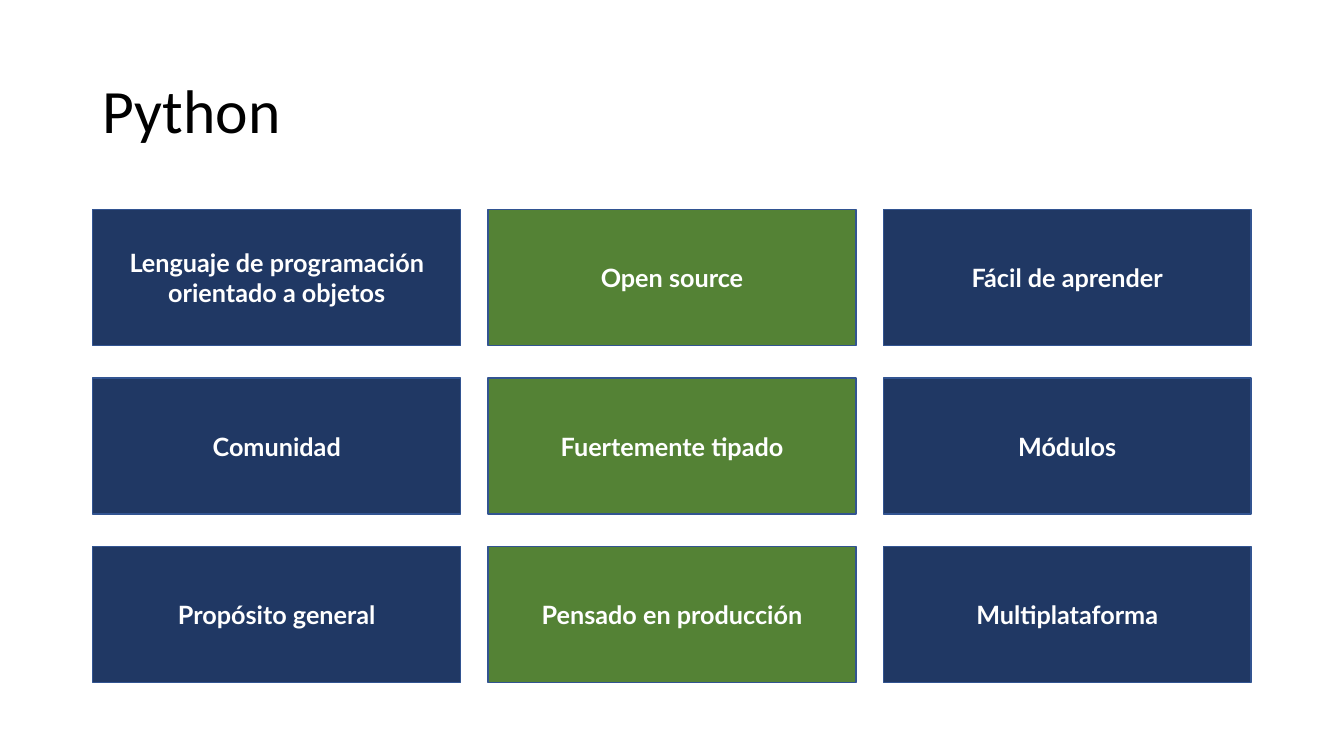
from pptx import Presentation
from pptx.dml.color import RGBColor
from pptx.enum.shapes import MSO_SHAPE as Shape
from pptx.enum.text import MSO_ANCHOR as Anchor, PP_ALIGN as Align
from pptx.util import Emu, Pt

PX = 9144
FEATURES = [
    ["Lenguaje de programación orientado a objetos", "Open source", "Fácil de aprender"],
    ["Comunidad", "Fuertemente tipado", "Módulos"],
    ["Propósito general", "Pensado en producción", "Multiplataforma"],
]


def color(value):
    """Turn a hex string into a colour."""
    return RGBColor.from_string(value)


def px(*lengths):
    """Turn pixel lengths into EMU."""
    return [Emu(n * PX) for n in lengths]


class Deck:
    """Hold the style and the current slide."""

    NAVY, GREEN, BORDER = "203864", "548235", "325491"
    WHITE, BLACK = "FFFFFF", "000000"

    def __init__(self, width, height):
        """Start a presentation with one blank slide."""
        self.prs = Presentation()
        self.prs.slide_width, self.prs.slide_height = px(width, height)
        self.s = self.prs.slides.add_slide(self.prs.slide_layouts[6])

    def label(self, sp, text, font, size, fill, bold=False, align=Align.LEFT):
        """Put one vertically centred paragraph into a shape."""
        tf = sp.text_frame
        tf.word_wrap = True
        tf.vertical_anchor = Anchor.MIDDLE
        p = tf.paragraphs[0]
        p.alignment = align
        r = p.add_run()
        r.text = text
        r.font.name = font
        r.font.size = Pt(size)
        r.font.bold = bold
        r.font.color.rgb = color(fill)
        return p

    def title(self, text, x, y, w, h):
        """Add the slide heading."""
        sp = self.s.shapes.add_textbox(*px(x, y, w, h))
        p = self.label(sp, text, "Calibri", 44, self.BLACK)
        p.line_spacing = 0.9

    def card(self, text, x, y, w, h, fill):
        """Add a filled rectangle with a bold centred label."""
        sp = self.s.shapes.add_shape(Shape.RECTANGLE, *px(x, y, w, h))
        sp.shadow.inherit = False
        sp.fill.solid()
        sp.fill.fore_color.rgb = color(fill)
        sp.line.color.rgb = color(self.BORDER)
        sp.line.width = Pt(1)
        self.label(sp, text, "Lato", 18, self.WHITE, True, Align.CENTER)


def main():
    """Build the slide and save it."""
    deck = Deck(1333, 750)
    deck.title("Python", 92, 40, 1150, 145)
    for row, features in enumerate(FEATURES):
        for col, feature in enumerate(features):
            fill = deck.GREEN if col == 1 else deck.NAVY
            deck.card(feature, 92 + 392 * col, 208 + 167 * row, 365, 135, fill)
    deck.prs.save("out.pptx")


if __name__ == "__main__":
    main()
